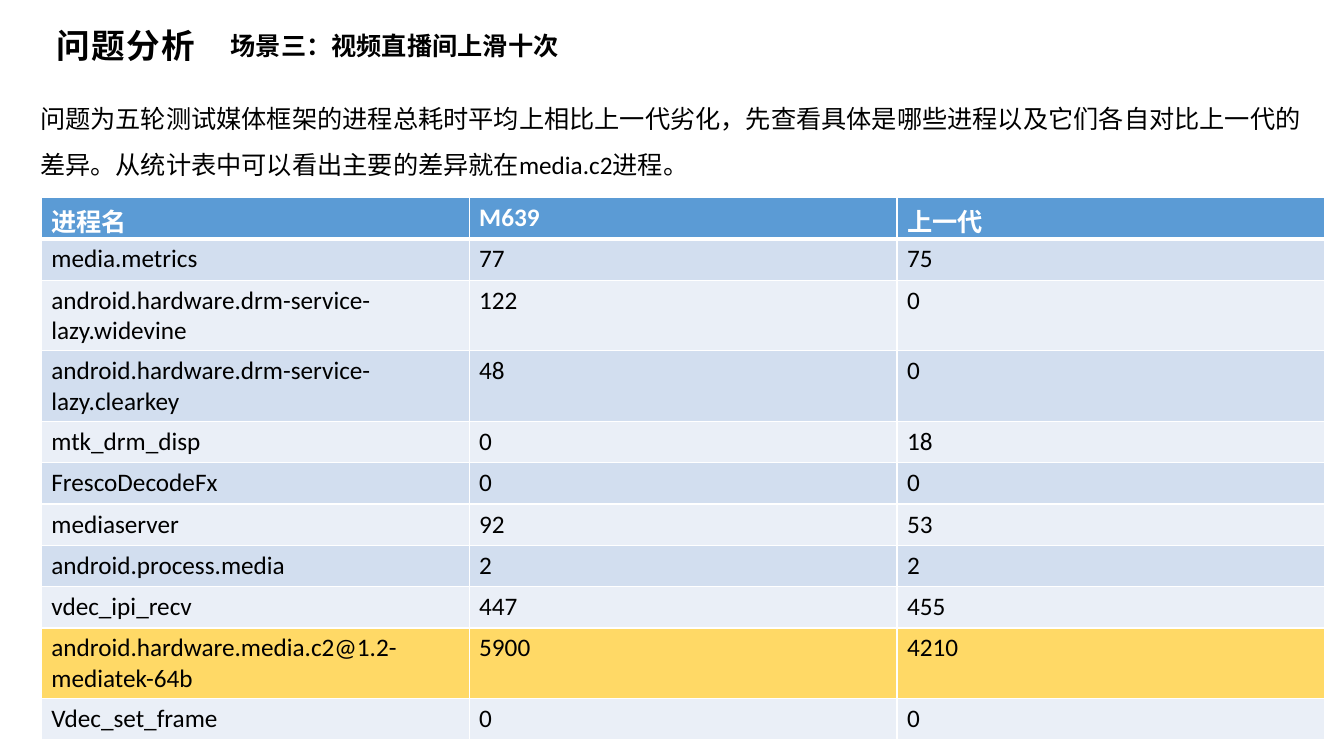
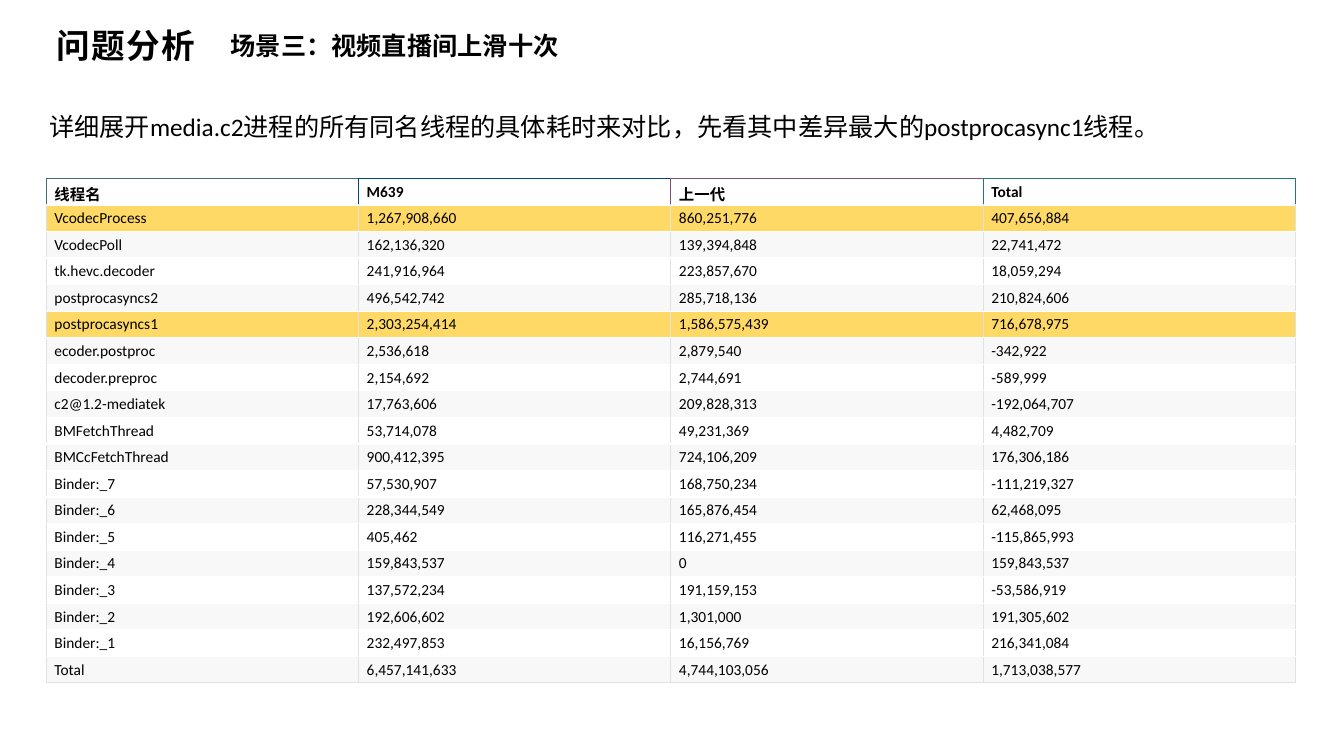
from dataclasses import dataclass

from lxml import etree
from pptx import Presentation
from pptx.dml.color import RGBColor
from pptx.enum.text import MSO_ANCHOR, MSO_AUTO_SIZE, PP_ALIGN
from pptx.oxml.ns import qn
from pptx.util import Inches, Pt

TOP, MIDDLE = MSO_ANCHOR.TOP, MSO_ANCHOR.MIDDLE
GROW = MSO_AUTO_SIZE.SHAPE_TO_FIT_TEXT
LEFT = PP_ALIGN.LEFT
TITLE_ONLY = 5


@dataclass(frozen=True)
class Theme:
    heading_font: str = "Noto Sans CJK SC"
    body_font: str = "Calibri"
    title_size: int = 24
    text_size: int = 18
    small_size: int = 11
    black: str = "000000"
    white: str = "FFFFFF"
    blue: str = "5B9BD5"
    band_dark: str = "D2DEEF"
    band_light: str = "EAEFF7"
    band_grey: str = "F8F8F8"
    grid_grey: str = "DFE2E5"
    highlight: str = "FFD966"
    header_lines: tuple = ("406C71", "004771", "804F71", "207871")


THEME = Theme()

# Content
TITLE = "问题分析"
SCENE = "场景三：视频直播间上滑十次"

PROCESS_TABLE = [
    ("进程名", "M639", "上一代"),
    ("media.metrics", "77", "75"),
    ("android.hardware.drm-service-lazy.widevine", "122", "0"),
    ("android.hardware.drm-service-lazy.clearkey", "48", "0"),
    ("mtk_drm_disp", "0", "18"),
    ("FrescoDecodeFx", "0", "0"),
    ("mediaserver", "92", "53"),
    ("android.process.media", "2", "2"),
    ("vdec_ipi_recv", "447", "455"),
    ("android.hardware.media.c2@1.2-mediatek-64b", "5900", "4210"),
    ("Vdec_set_frame", "0", "0"),
]

THREAD_TABLE = [
    ("线程名", "M639", "上一代", "Total"),
    ("VcodecProcess", "1,267,908,660", "860,251,776", "407,656,884"),
    ("VcodecPoll", "162,136,320", "139,394,848", "22,741,472"),
    ("tk.hevc.decoder", "241,916,964", "223,857,670", "18,059,294"),
    ("postprocasyncs2", "496,542,742", "285,718,136", "210,824,606"),
    ("postprocasyncs1", "2,303,254,414", "1,586,575,439", "716,678,975"),
    ("ecoder.postproc", "2,536,618", "2,879,540", "-342,922"),
    ("decoder.preproc", "2,154,692", "2,744,691", "-589,999"),
    ("c2@1.2-mediatek", "17,763,606", "209,828,313", "-192,064,707"),
    ("BMFetchThread", "53,714,078", "49,231,369", "4,482,709"),
    ("BMCcFetchThread", "900,412,395", "724,106,209", "176,306,186"),
    ("Binder:_7", "57,530,907", "168,750,234", "-111,219,327"),
    ("Binder:_6", "228,344,549", "165,876,454", "62,468,095"),
    ("Binder:_5", "405,462", "116,271,455", "-115,865,993"),
    ("Binder:_4", "159,843,537", "0", "159,843,537"),
    ("Binder:_3", "137,572,234", "191,159,153", "-53,586,919"),
    ("Binder:_2", "192,606,602", "1,301,000", "191,305,602"),
    ("Binder:_1", "232,497,853", "16,156,769", "216,341,084"),
    ("Total", "6,457,141,633", "4,744,103,056", "1,713,038,577"),
]

SLIDES = [
    {
        "text": "问题为五轮测试媒体框架的进程总耗时平均上相比上一代劣化，先查看具体是哪些进程以及它们各自对比上一代的差异。"
                "从统计表中可以看出主要的差异就在media.c2进程。",
        "text_box": (0.3, 0.83, 12.73, 0.96),
        "wrap": True,
        "line_spacing": 1.5,
        "rows": PROCESS_TABLE,
        "table_box": (0.41, 1.96, 12.73, 4.51),
        "highlights": {9},
        "style": {
            "size": THEME.text_size, "header_color": THEME.white, "header_fill": THEME.blue,
            "bands": (THEME.band_dark, THEME.band_light),
            "grid": THEME.white, "line": 1, "header_rule": 3, "header_lines": None,
            "anchor": TOP, "margins": (0.1, 0.05),
        },
    },
    {
        "text": "详细展开media.c2进程的所有同名线程的具体耗时来对比，先看其中差异最大的postprocasync1线程。",
        "text_box": (0.39, 1.06, 11.32, 0.4),
        "wrap": False,
        "line_spacing": None,
        "rows": THREAD_TABLE,
        "table_box": (0.46, 1.77, 12.39, 4.88),
        "highlights": {1, 5},
        "style": {
            "size": THEME.small_size, "header_color": THEME.black, "header_fill": THEME.white,
            "bands": (THEME.white, THEME.band_grey),
            "grid": THEME.grid_grey, "line": 0.75, "header_rule": 0.75,
            "header_lines": THEME.header_lines,
            "anchor": MIDDLE, "margins": (0.08, 0.04),
        },
    },
]


# Text helpers
def add_run(paragraph, text, size, font, color=THEME.black, bold=False):
    run = paragraph.add_run()
    run.text = text
    run.font.size = Pt(size)
    run.font.name = font
    run.font.bold = bold
    run.font.color.rgb = RGBColor.from_string(color)
    return run


def prepare_frame(shape, wrap):
    frame = shape.text_frame
    frame.word_wrap = wrap
    frame.auto_size = GROW
    frame.vertical_anchor = TOP
    paragraph = frame.paragraphs[0]
    paragraph.alignment = LEFT
    return paragraph


def add_text(slide, box, text, font, bold=False, wrap=False, line_spacing=None):
    shape = slide.shapes.add_textbox(*map(Inches, box))
    paragraph = prepare_frame(shape, wrap)
    paragraph.line_spacing = line_spacing
    add_run(paragraph, text, THEME.text_size, font, bold=bold)


def add_heading(slide):
    title = slide.shapes.title
    title.left, title.top, title.width, title.height = map(Inches, (0.46, 0.2, 1.6, 0.5))
    run = add_run(prepare_frame(title, False), TITLE, THEME.title_size,
                  THEME.heading_font, bold=True)
    run._r.get_or_add_rPr().set("spc", "100")
    add_text(slide, (2.19, 0.25, 3.62, 0.4), SCENE, THEME.heading_font, bold=True)


# Table helpers
def set_borders(cell, borders):
    properties = cell._tc.get_or_add_tcPr()
    for side in "LRTB":
        if side in borders:
            color, width = borders[side]
            line = etree.SubElement(properties, qn(f"a:ln{side}"), w=str(int(Pt(width))))
            fill = etree.SubElement(line, qn("a:solidFill"))
            etree.SubElement(fill, qn("a:srgbClr"), val=color)


def cell_borders(row, column, style):
    grid = (style["grid"], style["line"])
    if row:
        return dict.fromkeys("LRB", grid)
    borders = {**dict.fromkeys("LRT", grid), "B": (style["grid"], style["header_rule"])}
    colors = style["header_lines"]
    if colors:
        borders["L"] = borders["T"] = (colors[column], style["line"])
        borders["R"] = (colors[min(column + 1, len(colors) - 1)], style["line"])
    return borders


def row_fill(row, style, highlights):
    if row == 0:
        return style["header_fill"]
    return THEME.highlight if row in highlights else style["bands"][(row - 1) % 2]


def add_data_table(slide, box, rows, highlights, style):
    table = slide.shapes.add_table(len(rows), len(rows[0]), *map(Inches, box)).table
    table.horz_banding = False
    for table_row in table.rows:
        table_row.height = Inches(box[3] / len(rows))
    side, edge = map(Inches, style["margins"])
    for row, values in enumerate(rows):
        for column, value in enumerate(values):
            cell = table.cell(row, column)
            cell.margin_left = cell.margin_right = side
            cell.margin_top = cell.margin_bottom = edge
            cell.vertical_anchor = style["anchor"]
            set_borders(cell, cell_borders(row, column, style))
            cell.fill.solid()
            cell.fill.fore_color.rgb = RGBColor.from_string(row_fill(row, style, highlights))
            color = THEME.black if row else style["header_color"]
            add_run(cell.text_frame.paragraphs[0], value, style["size"],
                    THEME.body_font, color, bold=row == 0)


def main():
    presentation = Presentation()
    presentation.slide_width, presentation.slide_height = Inches(13.33), Inches(7.5)
    for content in SLIDES:
        slide = presentation.slides.add_slide(presentation.slide_layouts[TITLE_ONLY])
        add_heading(slide)
        add_text(slide, content["text_box"], content["text"], THEME.body_font,
                 wrap=content["wrap"], line_spacing=content["line_spacing"])
        add_data_table(slide, content["table_box"], content["rows"],
                       content["highlights"], content["style"])
    presentation.save("out.pptx")


if __name__ == "__main__":
    main()
